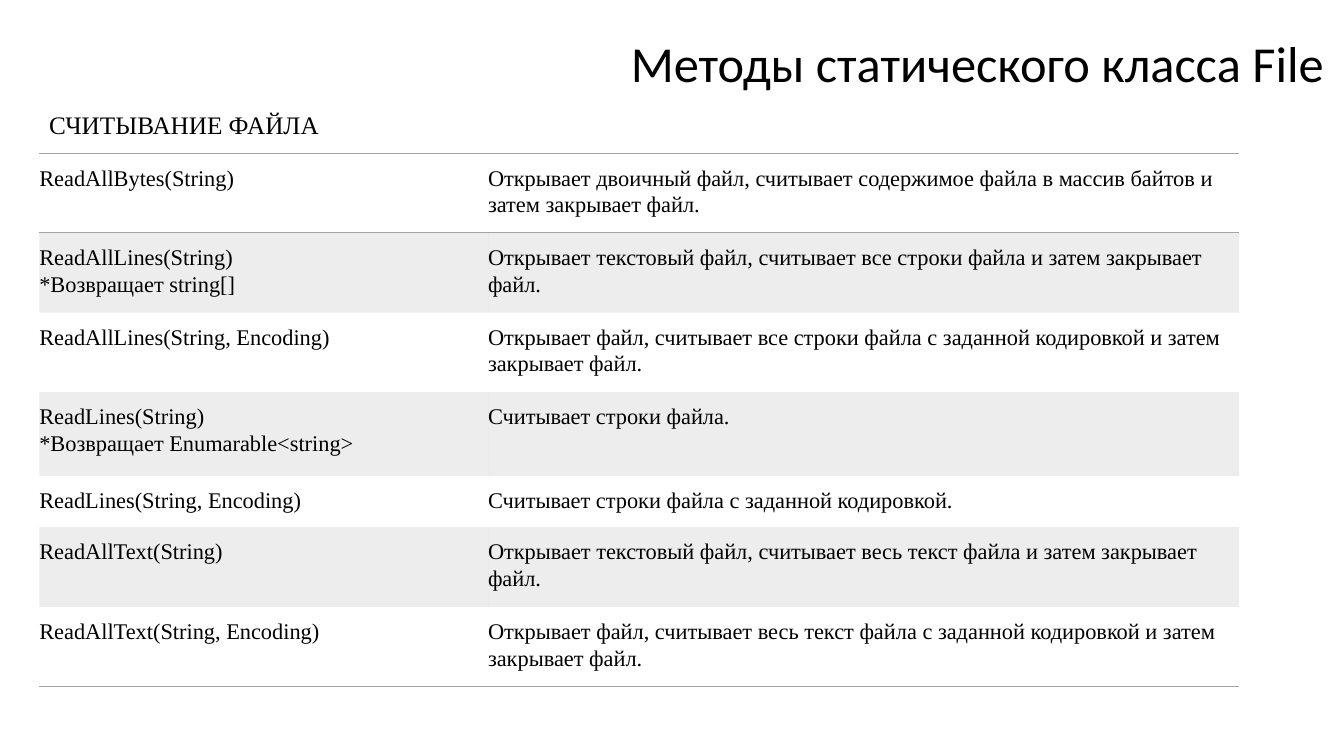
"""Slide listing the file-reading methods of the static File class."""
from lxml import etree
from pptx import Presentation
from pptx.dml.color import RGBColor
from pptx.enum.text import MSO_ANCHOR, PP_ALIGN
from pptx.oxml.ns import qn
from pptx.util import Inches, Pt

BLACK = RGBColor(0x00, 0x00, 0x00)
GRAY = RGBColor(0xA5, 0xA5, 0xA5)
CENTER = PP_ALIGN.CENTER
MIDDLE = MSO_ANCHOR.MIDDLE
SERIF = "Times New Roman"
NO_STYLE = "{2D5ABB26-0587-4C30-8999-92F81FD0307C}"

METHODS = [
    ("ReadAllBytes(String)",
     "Открывает двоичный файл, считывает содержимое файла в массив байтов и затем закрывает файл.", 0.79),
    ("ReadAllLines(String)\n*Возвращает string[]",
     "Открывает текстовый файл, считывает все строки файла и затем закрывает файл.", 0.79),
    ("ReadAllLines(String, Encoding)",
     "Открывает файл, считывает все строки файла с заданной кодировкой и затем закрывает файл.", 0.79),
    ("ReadLines(String)\n*Возвращает Enumarable<string>",
     "Считывает строки файла.", 0.83),
    ("ReadLines(String, Encoding)",
     "Считывает строки файла с заданной кодировкой.", 0.51),
    ("ReadAllText(String)",
     "Открывает текстовый файл, считывает весь текст файла и затем закрывает файл.", 0.79),
    ("ReadAllText(String, Encoding)",
     "Открывает файл, считывает весь текст файла с заданной кодировкой и затем закрывает файл.", 0.79),
]


def write(frame, text, font, size, spacing=1.0):
    frame.text = text
    for paragraph in frame.paragraphs:
        paragraph.line_spacing = spacing
        for run in paragraph.runs:
            run.font.name = font
            run.font.size = Pt(size)
            run.font.color.rgb = BLACK


def add_rules(cell, sides):
    properties = cell._tc.get_or_add_tcPr()
    for position, side in enumerate(sides):
        rule = etree.Element(qn(f"a:ln{side}"), w=str(Pt(1)))
        solid = etree.SubElement(rule, qn("a:solidFill"))
        etree.SubElement(solid, qn("a:srgbClr"), val=str(GRAY))
        properties.insert(position, rule)


prs = Presentation()
prs.slide_width, prs.slide_height = Inches(13.33), Inches(7.5)
slide = prs.slides.add_slide(prs.slide_layouts[6])

title = slide.shapes.add_textbox(Inches(6.05), Inches(0.21), Inches(7.29), Inches(0.9)).text_frame
title.word_wrap = True
title.vertical_anchor = MIDDLE
write(title, "Методы статического класса File", "Calibri", 36, 0.9)
title.paragraphs[0].alignment = CENTER

heading = slide.shapes.add_textbox(Inches(0.39), Inches(1.04), Inches(2.97), Inches(0.4)).text_frame
heading.word_wrap = False
write(heading, "СЧИТЫВАНИЕ ФАЙЛА", SERIF, 18)

total_height = sum(height for _, _, height in METHODS)
methods = slide.shapes.add_table(len(METHODS), 2, Inches(0.39), Inches(1.52),
                                 Inches(11.9), Inches(total_height)).table
methods.first_row = False
methods.horz_banding = False
methods._tbl.tblPr.find(qn("a:tableStyleId")).text = NO_STYLE
for column, width in zip(methods.columns, (4.45, 7.45)):
    column.width = Inches(width)

rules = {0: "TB", len(METHODS) - 1: "B"}
for index, (signature, description, height) in enumerate(METHODS):
    methods.rows[index].height = Inches(height)
    for column, (text, right) in enumerate(((signature, 0.23), (description, 0))):
        cell = methods.cell(index, column)
        cell.margin_left, cell.margin_right = 0, Inches(right)
        cell.margin_top = cell.margin_bottom = Inches(0.11)
        write(cell.text_frame, text, SERIF, 16, 1.07)
        if index % 2:
            cell.fill.solid()
            cell.fill.fore_color.rgb = GRAY
            tint = cell._tc.tcPr.find(".//" + qn("a:srgbClr"))
            etree.SubElement(tint, qn("a:alpha"), val="20000")
        else:
            cell.fill.background()
        add_rules(cell, rules.get(index, ""))

prs.save("out.pptx")
